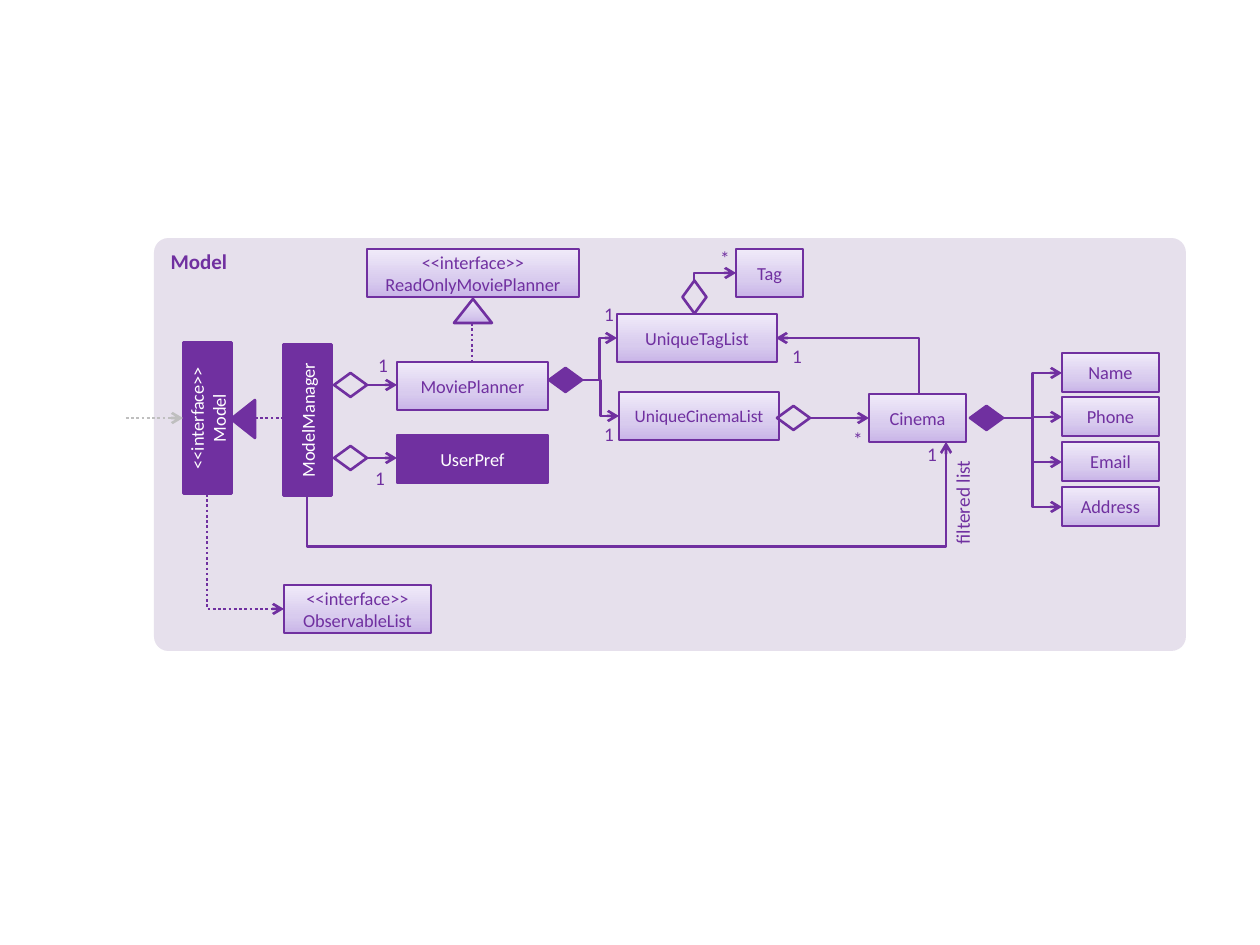
from copy import deepcopy
from dataclasses import dataclass
from lxml.etree import SubElement
from pptx import Presentation
from pptx.dml.color import RGBColor
from pptx.enum.dml import MSO_LINE
from pptx.enum.shapes import MSO_CONNECTOR as LINK, MSO_SHAPE as SHAPE
from pptx.enum.text import MSO_ANCHOR as ANCHOR, PP_ALIGN as ALIGN
from pptx.oxml.ns import qn
from pptx.util import Emu, Pt

PIXEL = 914400 // 126
FONT = "Calibri"
COLORS = {"purple": "7030A0", "panel": "E6E0EC", "white": "FFFFFF", "gray": "BFBFBF"}
GRADIENT = [(0, "C9B5E8"), (0.35, "D8CBEE"), (1, "F0EAF9")]
DIAMOND = SHAPE.FLOWCHART_DECISION


@dataclass
class Region:
    """A part of the slide with its own origin in pixels."""
    slide: object
    left: int
    top: int

    def at(self, x, y):
        """Return a point of this region in EMU."""
        return Emu(int((self.left + x) * PIXEL)), Emu(int((self.top + y) * PIXEL))


def rgb(name):
    """Look up a colour by name."""
    return RGBColor.from_string(COLORS[name])


def write_text(shape, text, size=10.5, color="purple", bold=False, align=ALIGN.CENTER,
               anchor=ANCHOR.MIDDLE, inset=None):
    """Put formatted text into a shape."""
    frame = shape.text_frame
    frame.word_wrap = True
    frame.vertical_anchor = anchor
    if inset is not None:
        frame.margin_left = frame.margin_right = inset
        frame.margin_top = frame.margin_bottom = inset
    frame.text = text
    for paragraph in frame.paragraphs:
        paragraph.alignment = align
        for run in paragraph.runs:
            run.font.name, run.font.size, run.font.bold = FONT, Pt(size), bold
            run.font.color.rgb = rgb(color)


def fill_gradient(shape):
    """Fill a shape with the lilac gradient, dark at the bottom."""
    shape.fill.gradient()
    shape.fill.gradient_angle = 90
    stops = shape._element.spPr.find(qn("a:gradFill")).find(qn("a:gsLst"))
    stops.append(deepcopy(stops[-1]))
    for stop, (position, color) in zip(shape.fill.gradient_stops, GRADIENT):
        stop.position = position
        stop.color.rgb = RGBColor.from_string(color)


def add_node(region, x, y, width, height, kind=SHAPE.RECTANGLE, fill="gradient",
             line="purple", rotation=0):
    """Add a filled and outlined shape."""
    shape = region.slide.shapes.add_shape(kind, *region.at(x, y), width * PIXEL, height * PIXEL)
    shape.shadow.inherit = False
    shape.rotation = rotation
    if fill == "gradient":
        fill_gradient(shape)
    elif fill:
        shape.fill.solid()
        shape.fill.fore_color.rgb = rgb(fill)
    else:
        shape.fill.background()
    if line:
        shape.line.color.rgb = rgb(line)
        shape.line.width = Pt(1.5)
    else:
        shape.line.fill.background()
    return shape


def add_class(region, text, x, y, width=151, height=48, solid=False, rotation=0, size=10.5):
    """Add a class box with its name."""
    box = add_node(region, x, y, width, height, fill="purple" if solid else "gradient",
                   rotation=rotation)
    write_text(box, text, size=size, color="white" if solid else "purple")


def add_diamond(region, x, y, fill=None, rotation=0):
    """Add an aggregation or composition diamond."""
    add_node(region, x, y, 33, 24, DIAMOND, fill, rotation=rotation)


def add_label(region, text, x, y, width=26, height=25, rotation=0, **text_format):
    """Add a small text beside a link."""
    label = region.slide.shapes.add_textbox(*region.at(x, y), width * PIXEL, height * PIXEL)
    label.rotation = rotation
    write_text(label, text, **{"size": 11, "anchor": ANCHOR.TOP, "inset": 0, **text_format})


def add_link(region, start, end, bend=None, color="purple", dotted=False, arrow=True,
             adjust=()):
    """Add a link; a bend other than bentConnector3 leaves its start vertically."""
    (x1, y1), (x2, y2) = start, end
    turned = bend in ("bentConnector2", "bentConnector4")
    if turned:
        middle_x, middle_y = (x1 + x2) / 2, (y1 + y2) / 2
        half_x, half_y = (y2 - y1) / 2, (x1 - x2) / 2
        x1, y1 = middle_x - half_x, middle_y - half_y
        x2, y2 = middle_x + half_x, middle_y + half_y
    link = region.slide.shapes.add_connector(LINK.ELBOW if bend else LINK.STRAIGHT,
                                             *region.at(x1, y1), *region.at(x2, y2))
    properties = link._element.spPr
    if turned:
        properties.find(qn("a:xfrm")).set("rot", "5400000")
        geometry = properties.find(qn("a:prstGeom"))
        geometry.set("prst", bend)
        for number, value in enumerate(adjust, 1):
            SubElement(geometry.find(qn("a:avLst")), qn("a:gd"),
                       name=f"adj{number}", fmla=f"val {value}")
    link.line.color.rgb = rgb(color)
    link.line.width = Pt(1.5)
    if dotted:
        link.line.dash_style = MSO_LINE.ROUND_DOT
    if arrow:
        SubElement(properties.find(qn("a:ln")), qn("a:tailEnd"), type="arrow")
    SubElement(properties, qn("a:effectLst"))


def draw_panel(region):
    """Draw the titled background panel."""
    panel = add_node(region, 0, 0, 1032, 413, SHAPE.ROUNDED_RECTANGLE, "panel", None)
    panel.adjustments[0] = 0.035
    write_text(panel, "Model", size=12, bold=True, align=ALIGN.LEFT, anchor=ANCHOR.TOP)


def draw_manager(region):
    """Draw the model interface, its manager and the observable list."""
    add_class(region, "<<interface>>\nModel", -51, 51, solid=True, rotation=270)
    add_class(region, "ModelManager", 49, 53, solid=True, rotation=270)
    add_node(region, 41, 64, 38, 24, SHAPE.ISOSCELES_TRIANGLE, "purple", rotation=270)
    add_link(region, (72, 75), (102, 75), dotted=True, arrow=False)
    add_link(region, (-57, 75), (0, 75), color="gray", dotted=True)
    for y, label_x, label_y in ((30, 187, 10), (103, 184, 123)):
        add_diamond(region, 151, y)
        add_link(region, (184, y + 12), (214, y + 12))
        add_label(region, "1", label_x, label_y)
    add_class(region, "<<interface>>\vObservableList", 101, 242, 147)
    add_link(region, (24, 151), (101, 266), "bentConnector2", dotted=True)


def draw_planner(region):
    """Draw the planner, its interface and the user preferences."""
    add_class(region, "<<interface>>\vReadOnlyMoviePlanner", 0, 0, 212)
    add_link(region, (105, 74), (105, 113), dotted=True, arrow=False)
    add_node(region, 87, 50, 38, 24, SHAPE.ISOSCELES_TRIANGLE)
    add_class(region, "MoviePlanner", 30, 113)
    add_class(region, "UserPref", 30, 186, solid=True)
    add_diamond(region, 182, 119, "purple")
    for end, label_y in (((250, 89), 53), ((252, 167), 173)):
        add_link(region, (215, 131), end, "bentConnector3")
        add_label(region, "1", 229, label_y)


def draw_lists(region):
    """Draw the tag list, the cinema list and the tag."""
    add_class(region, "UniqueTagList", 0, 65, 160)
    add_class(region, "UniqueCinemaList", 2, 143, 160, size=10)
    add_class(region, "Tag", 119, 0, 67)
    add_diamond(region, 61, 36, rotation=270)
    add_link(region, (77, 32), (119, 24), "bentConnector2")
    add_diamond(region, 160, 157)
    add_link(region, (193, 169), (252, 169))
    for text, x, y in (("*", 95, -3), ("1", 167, 95), ("*", 228, 178)):
        add_label(region, text, x, y)


def draw_cinema(region):
    """Draw the cinema, its fields and the links that reach it."""
    add_link(region, (-562, 100), (77, 48), "bentConnector4", adjust=(-101800, 100000))
    add_link(region, (50, 0), (-93, -56), "bentConnector2")
    add_class(region, "Cinema", 0, 0, 97)
    add_diamond(region, 101, 12, "purple")
    for row, field in enumerate(("Name", "Phone", "Email", "Address")):
        y = -41 + round(44.5 * row)
        add_class(region, field, 193, y, 97, 39)
        add_link(region, (134, 24), (193, y + 20), "bentConnector3")
    add_label(region, "1", 50, 48)
    add_label(region, "filtered list", 31, 100, 121, 37, rotation=270, align=ALIGN.RIGHT,
              inset=Pt(5))


presentation = Presentation()
presentation.slide_width, presentation.slide_height = Emu(1260 * PIXEL), Emu(945 * PIXEL)
slide = presentation.slides.add_slide(presentation.slide_layouts[6])
for draw, left, top in ((draw_panel, 154, 238), (draw_manager, 183, 343),
                        (draw_planner, 367, 249), (draw_lists, 617, 249),
                        (draw_cinema, 869, 394)):
    draw(Region(slide, left, top))
presentation.save("out.pptx")
